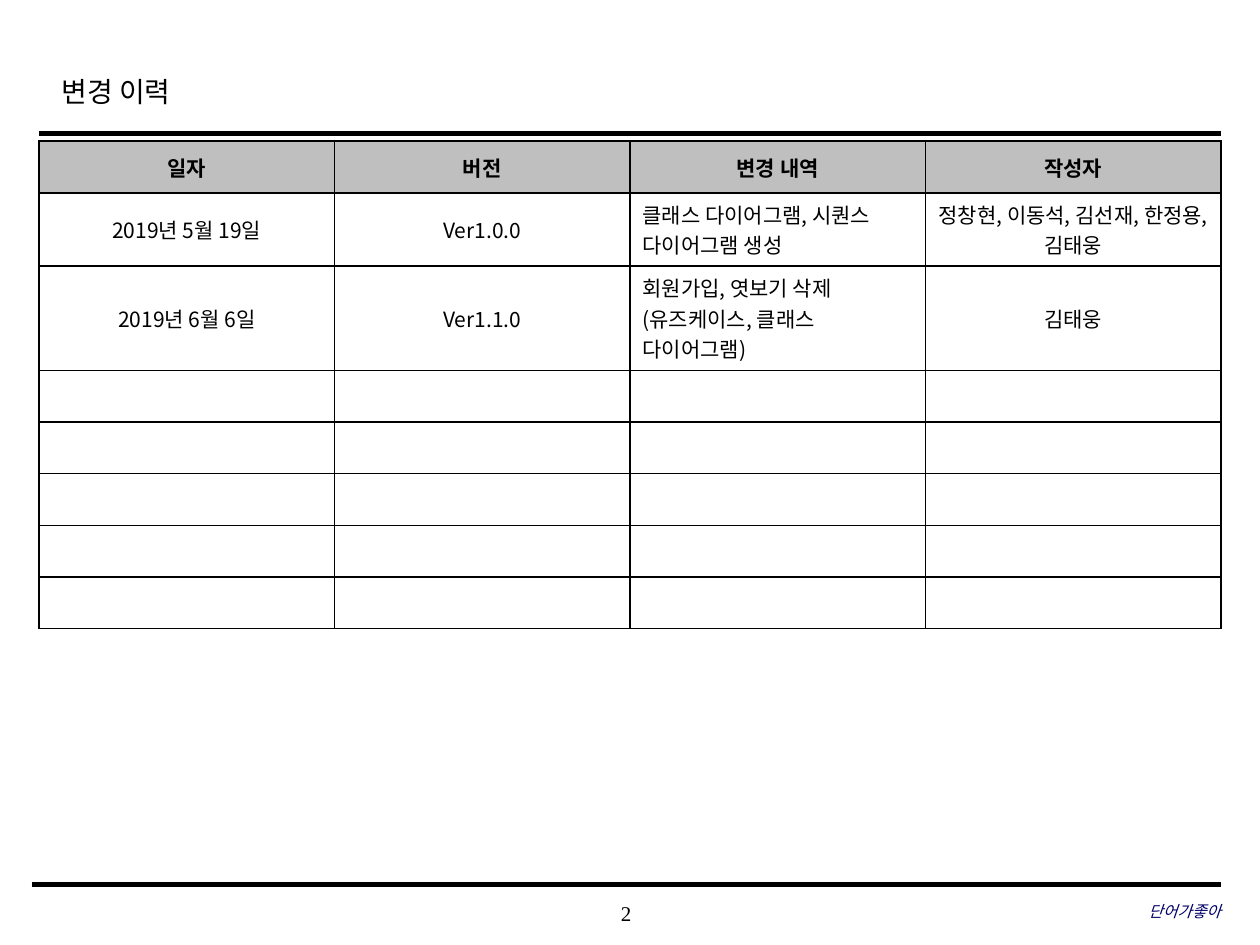
import pptx
import pptx.util
import pptx.dml.color
import pptx.enum.shapes
import pptx.enum.text
import pptx.oxml.ns
import lxml.etree

Inches = pptx.util.Inches
Pt = pptx.util.Pt
Color = pptx.dml.color.RGBColor
Align = pptx.enum.text.PP_ALIGN
Anchor = pptx.enum.text.MSO_ANCHOR
qn = pptx.oxml.ns.qn

BLACK = Color(0x00, 0x00, 0x00)
WHITE = Color(0xFF, 0xFF, 0xFF)
GRAY = Color(0xBF, 0xBF, 0xBF)
NAVY = Color(0x00, 0x00, 0x66)
SERIF = "Times New Roman"
SANS = "Noto Sans CJK KR"

LEFT, RIGHT = 0.31, 9.69
HEAD = ["일자", "버전", "변경 내역", "작성자"]
LOG = [
    ["2019년 5월 19일", "Ver1.0.0", "클래스 다이어그램, 시퀀스 다이어그램 생성",
     "정창현, 이동석, 김선재, 한정용, 김태웅"],
    ["2019년 6월 6일", "Ver1.1.0", "회원가입, 엿보기 삭제 (유즈케이스, 클래스 다이어그램)",
     "김태웅"],
]
HIGHS = [0.41, 0.58, 0.83] + [0.41] * 5
NOTE = HEAD.index("변경 내역")


def add_run(para, text, size, face=SERIF, color=BLACK, bold=False, italic=False):
    """Add one styled run with a Korean fallback face."""
    run = para.add_run()
    run.text = text
    font = run.font
    font.size = Pt(size)
    font.name = face
    font.color.rgb = color
    font.bold = bold
    font.italic = italic
    asian = lxml.etree.Element(qn("a:ea"), typeface=SANS)
    font._element.find(qn("a:latin")).addnext(asian)


def add_text(slide, box, text, size, align, color=BLACK, italic=False):
    """Add a one-line text box without margins, centred in height."""
    frame = slide.shapes.add_textbox(*map(Inches, box)).text_frame
    frame.word_wrap = True
    frame.vertical_anchor = Anchor.MIDDLE
    frame.margin_left = frame.margin_right = 0
    frame.margin_top = frame.margin_bottom = 0
    para = frame.paragraphs[0]
    para.alignment = align
    add_run(para, text, size, color=color, italic=italic)


def add_title(slide, text):
    """Add the slide heading."""
    box = map(Inches, (0.39, 0.49, 7.55, 0.5))
    frame = slide.shapes.add_textbox(*box).text_frame
    frame.word_wrap = True
    para = frame.paragraphs[0]
    para.line_spacing = 1.2
    add_run(para, text, 16)


def add_rule(slide, left, right, top, width):
    """Add a flat black rule."""
    line = slide.shapes.add_connector(
        pptx.enum.shapes.MSO_CONNECTOR.STRAIGHT,
        Inches(left), Inches(top), Inches(right), Inches(top))
    line.line.color.rgb = BLACK
    line.line.width = Pt(width)
    lxml.etree.SubElement(line._element.spPr, qn("a:effectLst"))


def set_edge(cell):
    """Draw a thin black border on each side of a cell."""
    props = cell._tc.get_or_add_tcPr()
    for spot, side in enumerate(("lnL", "lnR", "lnT", "lnB")):
        edge = lxml.etree.Element(qn("a:" + side), w=str(Pt(1)))
        fill = lxml.etree.SubElement(edge, qn("a:solidFill"))
        lxml.etree.SubElement(fill, qn("a:srgbClr"), val=str(BLACK))
        props.insert(spot, edge)


def fill_cell(cell, text, head, align):
    """Style a cell and write its text, if any."""
    cell.fill.solid()
    cell.fill.fore_color.rgb = GRAY if head else WHITE
    cell.vertical_anchor = Anchor.MIDDLE
    set_edge(cell)
    para = cell.text_frame.paragraphs[0]
    para.alignment = align
    if text:
        add_run(para, text, 12, SANS, bold=head)
    else:
        lxml.etree.SubElement(para._p, qn("a:endParaRPr"), sz="1200")


def add_log(slide):
    """Add the table of changes."""
    count = len(HEAD)
    wide = (RIGHT - LEFT) / count
    table = slide.shapes.add_table(
        len(HIGHS), count, Inches(LEFT), Inches(1.12),
        Inches(RIGHT - LEFT), Inches(sum(HIGHS))).table
    for col in table.columns:
        col.width = Inches(wide)
    for row, high in zip(table.rows, HIGHS):
        row.height = Inches(high)
    blank = [[""] * count] * (len(HIGHS) - 1 - len(LOG))
    for top, words in enumerate([HEAD] + LOG + blank):
        for left, text in enumerate(words):
            head = top == 0
            align = Align.LEFT if left == NOTE and not head else Align.CENTER
            fill_cell(table.cell(top, left), text, head, align)


def main():
    """Build and save the slide."""
    deck = pptx.Presentation()
    deck.slide_width = Inches(10)
    deck.slide_height = Inches(7.5)
    slide = deck.slides.add_slide(deck.slide_layouts[6])
    add_text(slide, (3.93, 7.08, 2.08, 0.33), "2", 12, Align.CENTER)
    add_rule(slide, LEFT, RIGHT, 1.06, 2.5)
    add_rule(slide, 0.25, RIGHT, 7.02, 3)
    add_title(slide, "변경 이력")
    add_text(slide, (6.63, 7.07, 3.06, 0.33), "단어가좋아", 9, Align.RIGHT,
             NAVY, True)
    add_log(slide)
    deck.save("out.pptx")


if __name__ == "__main__":
    main()
